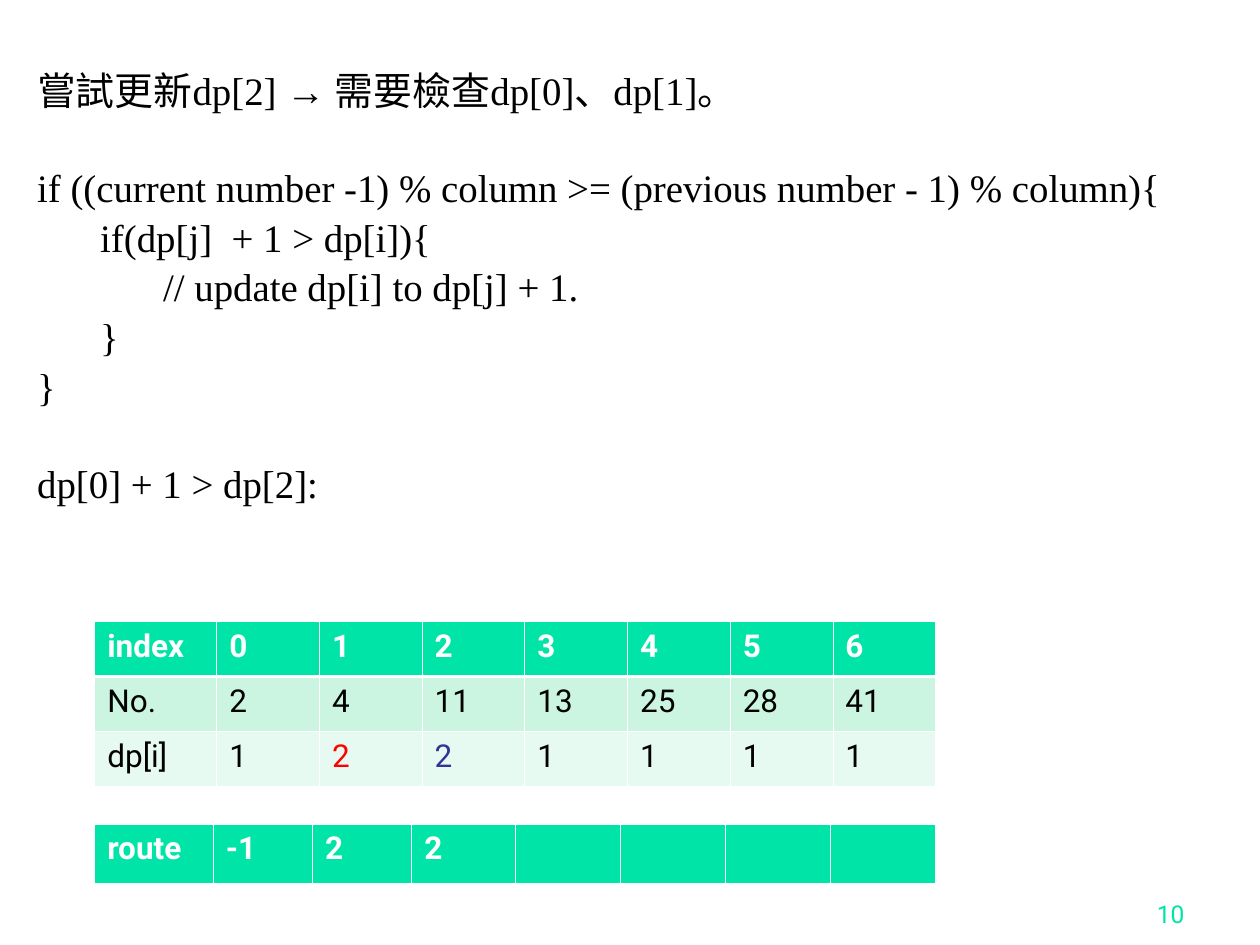
from dataclasses import dataclass

from lxml import etree
from pptx import Presentation
from pptx.dml.color import RGBColor
from pptx.enum.text import MSO_ANCHOR, PP_ALIGN
from pptx.oxml.ns import qn
from pptx.util import Cm, Pt

BOTTOM = MSO_ANCHOR.BOTTOM
LEFT = PP_ALIGN.LEFT
RIGHT = PP_ALIGN.RIGHT
BLANK_LAYOUT = 6


@dataclass(frozen=True)
class Theme:
    code_font: str = "Times New Roman"
    table_font: str = "Roboto"
    code_size: float = 22.2
    table_size: float = 18
    number_size: float = 14
    thin_line: float = 0.45
    thick_line: float = 1.47
    black: str = "000000"
    white: str = "FFFFFF"
    green: str = "00E4A8"
    light_green: str = "CBF5E1"
    pale_green: str = "E7FAF1"
    red: str = "FF0000"
    blue: str = "333399"


THEME = Theme()
LINE_GAP = 7
SECTION_GAP = 34.3
CODE_LINES = [
    ("嘗試更新dp[2] → 需要檢查dp[0]、dp[1]。", 0),
    ("if ((current number -1) % column >= (previous number - 1) % column){", SECTION_GAP),
    ("\tif(dp[j]  + 1 > dp[i]){", LINE_GAP),
    ("\t\t// update dp[i] to dp[j] + 1.", LINE_GAP),
    ("\t}", LINE_GAP),
    ("}", LINE_GAP),
    ("dp[0] + 1 > dp[2]:", SECTION_GAP),
]
DP_ROWS = [
    ["index", "0", "1", "2", "3", "4", "5", "6"],
    ["No.", "2", "4", "11", "13", "25", "28", "41"],
    ["dp[i]", "1", "2", "2", "1", "1", "1", "1"],
]
ROUTE_ROWS = [["route", "-1", "2", "2", "", "", "", ""]]
ROW_FILLS = [THEME.green, THEME.light_green, THEME.pale_green]
HIGHLIGHTS = {(2, 2): THEME.red, (2, 3): THEME.blue}
TABLE_LEFT = 1.91
DP_WIDTHS = [2.46] + [2.07] * 7
ROUTE_WIDTHS = [2.39, 2, 2, 2.08] + [2.12] * 4


def style_paragraph(para, font_name, size, color, bold=False, align=LEFT):
    para.alignment = align
    para.font.name = font_name
    para.font.size = Pt(size)
    para.font.bold = bold
    para.font.color.rgb = RGBColor.from_string(color)


def add_text_box(page, left, top, width, height):
    box = page.shapes.add_textbox(Cm(left), Cm(top), Cm(width), Cm(height))
    box.text_frame.word_wrap = True
    return box.text_frame


def add_code(page):
    frame = add_text_box(page, 0.5, 1.4, 24.9, 10.13)
    for index, (text, gap) in enumerate(CODE_LINES):
        para = frame.add_paragraph() if index else frame.paragraphs[0]
        para.text = text
        para.line_spacing = 0.8
        para.space_before = Pt(gap)
        style_paragraph(para, THEME.code_font, THEME.code_size, THEME.black)


def add_page_number(page, number):
    frame = add_text_box(page, 18.85, 17.58, 5.28, 1.27)
    frame.vertical_anchor = BOTTOM
    para = frame.paragraphs[0]
    para.text = number
    style_paragraph(para, THEME.table_font, THEME.number_size, THEME.green, align=RIGHT)


def set_borders(cell, row_index):
    properties = cell._tc.get_or_add_tcPr()
    thick_side = {0: "lnB", 1: "lnT"}.get(row_index)
    for side in ("lnL", "lnR", "lnT", "lnB"):
        width = THEME.thick_line if side == thick_side else THEME.thin_line
        line = etree.SubElement(properties, qn(f"a:{side}"), w=str(Pt(width)))
        fill = etree.SubElement(line, qn("a:solidFill"))
        etree.SubElement(fill, qn("a:srgbClr"), val=THEME.white)


def fill_cell(cell, text, row_index, color):
    set_borders(cell, row_index)
    cell.fill.solid()
    cell.fill.fore_color.rgb = RGBColor.from_string(ROW_FILLS[row_index])
    para = cell.text_frame.paragraphs[0]
    para.text = text
    style_paragraph(para, THEME.table_font, THEME.table_size, color, bold=row_index == 0)


def add_grid(page, rows, top, widths, row_height, highlights):
    frame = page.shapes.add_table(
        len(rows), len(widths), Cm(TABLE_LEFT), Cm(top),
        Cm(sum(widths)), Cm(row_height * len(rows)))
    table = frame.table
    for column, width in zip(table.columns, widths):
        column.width = Cm(width)
    for row_index, values in enumerate(rows):
        table.rows[row_index].height = Cm(row_height)
        base_color = THEME.black if row_index else THEME.white
        for column_index, text in enumerate(values):
            color = highlights.get((row_index, column_index), base_color)
            fill_cell(table.cell(row_index, column_index), text, row_index, color)


def main():
    deck = Presentation()
    deck.slide_width = Cm(25.4)
    deck.slide_height = Cm(19.05)
    page = deck.slides.add_slide(deck.slide_layouts[BLANK_LAYOUT])
    add_code(page)
    add_page_number(page, "10")
    add_grid(page, DP_ROWS, 12.53, DP_WIDTHS, 1.11, HIGHLIGHTS)
    add_grid(page, ROUTE_ROWS, 16.62, ROUTE_WIDTHS, 1.2, {})
    deck.save("out.pptx")


if __name__ == "__main__":
    main()
